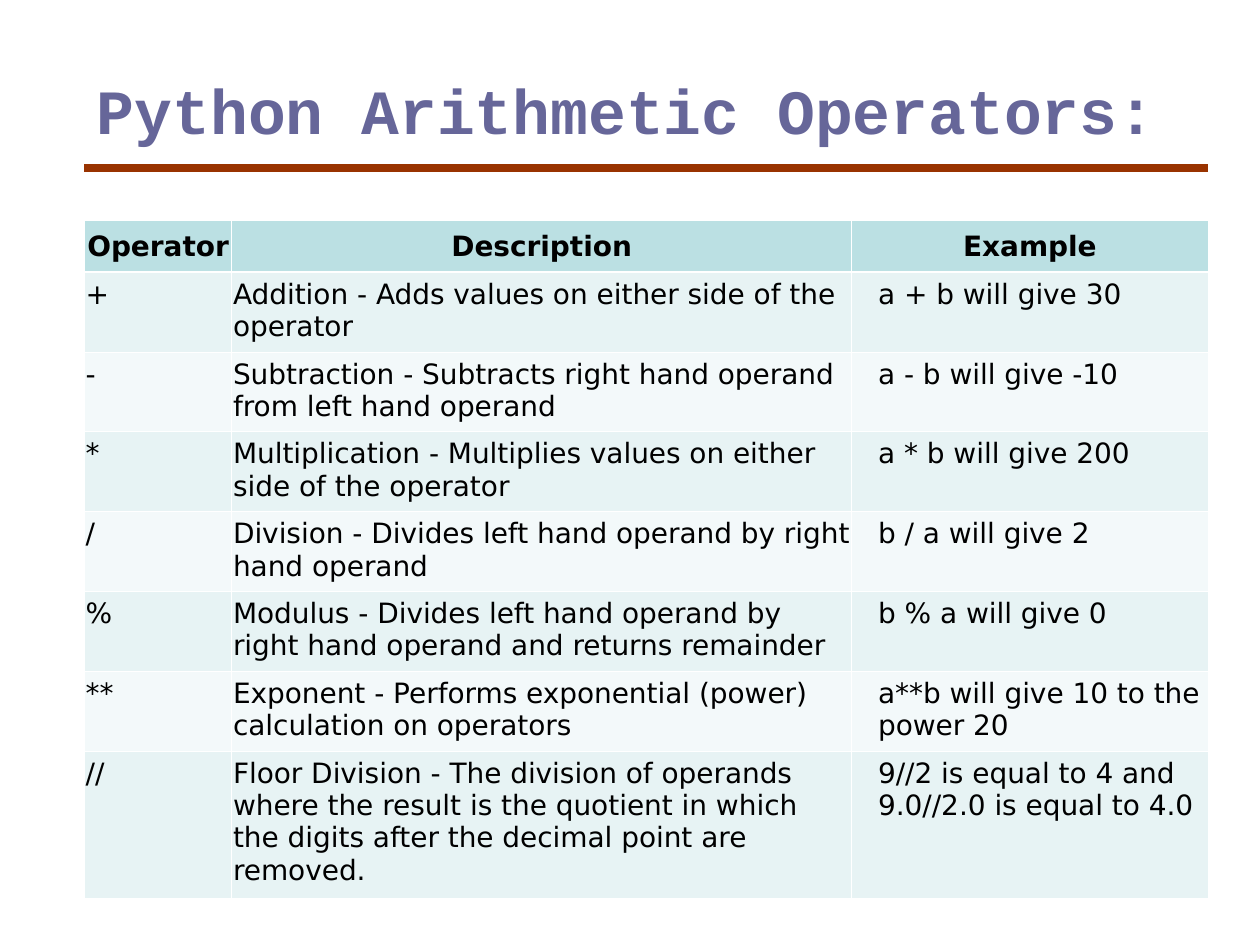
from lxml.etree import SubElement
from pptx import Presentation
from pptx.dml.color import RGBColor
from pptx.enum.shapes import MSO_CONNECTOR as Connector
from pptx.enum.text import MSO_ANCHOR as Anchor, PP_ALIGN as Align
from pptx.oxml.ns import qn
from pptx.util import Inches, Pt

# Content
TITLE = "Python Arithmetic Operators:"
HEADER = ("Operator", "Description", "Example")
OPERATORS = [
    ("+", "Addition - Adds values on either side of the operator",
     "a + b will give 30"),
    ("-", "Subtraction - Subtracts right hand operand from left hand operand",
     "a - b will give -10"),
    ("*", "Multiplication - Multiplies values on either side of the operator",
     "a * b will give 200"),
    ("/", "Division - Divides left hand operand by right hand operand",
     "b / a will give 2"),
    ("%", "Modulus - Divides left hand operand by right hand operand and returns remainder",
     "b % a will give 0"),
    ("**", "Exponent - Performs exponential (power) calculation on operators",
     "a**b will give 10 to the power 20"),
    ("//", "Floor Division - The division of operands where the result is the quotient "
           "in which the digits after the decimal point are removed.",
     "9//2 is equal to 4 and 9.0//2.0 is equal to 4.0"),
]
COLORS = {"title": "666699", "rule": "993300", "text": "000000", "border": "FFFFFF",
          "header": "BBE0E3", "odd": "E7F3F4", "even": "F3F9FA"}

# Layout in inches
LEFT, WIDTH = 0.67, 8.92
TITLE_TOP, TITLE_HEIGHT = 0.42, 1.25
RULE_TOP, TABLE_TOP = 1.33, 1.75
COLUMNS = (1.17, 4.92, 2.83)
HEADER_HEIGHT, ROW_HEIGHT = 0.41, 0.54
ROWS = [HEADER_HEIGHT] + [ROW_HEIGHT] * (len(OPERATORS) - 1) + [2 * ROW_HEIGHT]
EXAMPLE_INDENT = 0.2
THIN, THICK = 0.45, 1.47


def color(name):
    return RGBColor.from_string(COLORS[name])


def add_run(paragraph, text, font, size, color_name, bold):
    run = paragraph.add_run()
    run.text = text
    run.font.name, run.font.size, run.font.bold = font, Pt(size), bold
    run.font.color.rgb = color(color_name)


def set_borders(cell, top, bottom):
    properties = cell._tc.get_or_add_tcPr()
    for tag, width in (("lnL", THIN), ("lnR", THIN), ("lnT", top), ("lnB", bottom)):
        line = SubElement(properties, qn(f"a:{tag}"), w=str(int(Pt(width))))
        fill = SubElement(line, qn("a:solidFill"))
        SubElement(fill, qn("a:srgbClr"), val=COLORS["border"])


def fill_cell(cell, text, row, column):
    is_header = row == 0
    set_borders(cell, THICK if row == 1 else THIN, THICK if is_header else THIN)
    cell.fill.solid()
    cell.fill.fore_color.rgb = color("header" if is_header else "odd" if row % 2 else "even")
    cell.margin_left = cell.margin_right = Inches(0.01)
    cell.margin_top = cell.margin_bottom = Inches(0.05)
    cell.vertical_anchor = Anchor.MIDDLE if is_header else Anchor.TOP
    paragraph = cell.text_frame.paragraphs[0]
    paragraph.alignment = Align.CENTER if is_header else Align.LEFT
    if column == 2 and not is_header:
        paragraph._p.get_or_add_pPr().set("marL", str(Inches(EXAMPLE_INDENT)))
    add_run(paragraph, text, "DejaVu Sans", 16, "text", is_header)


def add_rule(slide):
    rule = slide.shapes.add_connector(Connector.STRAIGHT, Inches(LEFT), Inches(RULE_TOP),
                                      Inches(LEFT + WIDTH), Inches(RULE_TOP))
    rule.line.color.rgb = color("rule")
    rule.line.width = Pt(4.5)
    SubElement(rule._element.spPr, qn("a:effectLst"))


def add_title(slide):
    title = slide.shapes.add_textbox(Inches(LEFT), Inches(TITLE_TOP),
                                     Inches(WIDTH), Inches(TITLE_HEIGHT))
    frame = title.text_frame
    frame.word_wrap = True
    frame.margin_top = Inches(0.15)
    add_run(frame.paragraphs[0], TITLE, "Courier New", 36, "title", True)


def add_operator_table(slide):
    table = slide.shapes.add_table(len(ROWS), len(COLUMNS), Inches(LEFT), Inches(TABLE_TOP),
                                   Inches(WIDTH), Inches(sum(ROWS))).table
    for column, width in zip(table.columns, COLUMNS):
        column.width = Inches(width)
    for row, height in zip(table.rows, ROWS):
        row.height = Inches(height)
    for row, texts in enumerate([HEADER] + OPERATORS):
        for column, text in enumerate(texts):
            fill_cell(table.cell(row, column), text, row, column)


def main():
    presentation = Presentation()
    presentation.slide_width, presentation.slide_height = Inches(10), Inches(7.5)
    slide = presentation.slides.add_slide(presentation.slide_layouts[6])
    add_rule(slide)
    add_title(slide)
    add_operator_table(slide)
    presentation.save("out.pptx")


if __name__ == "__main__":
    main()
